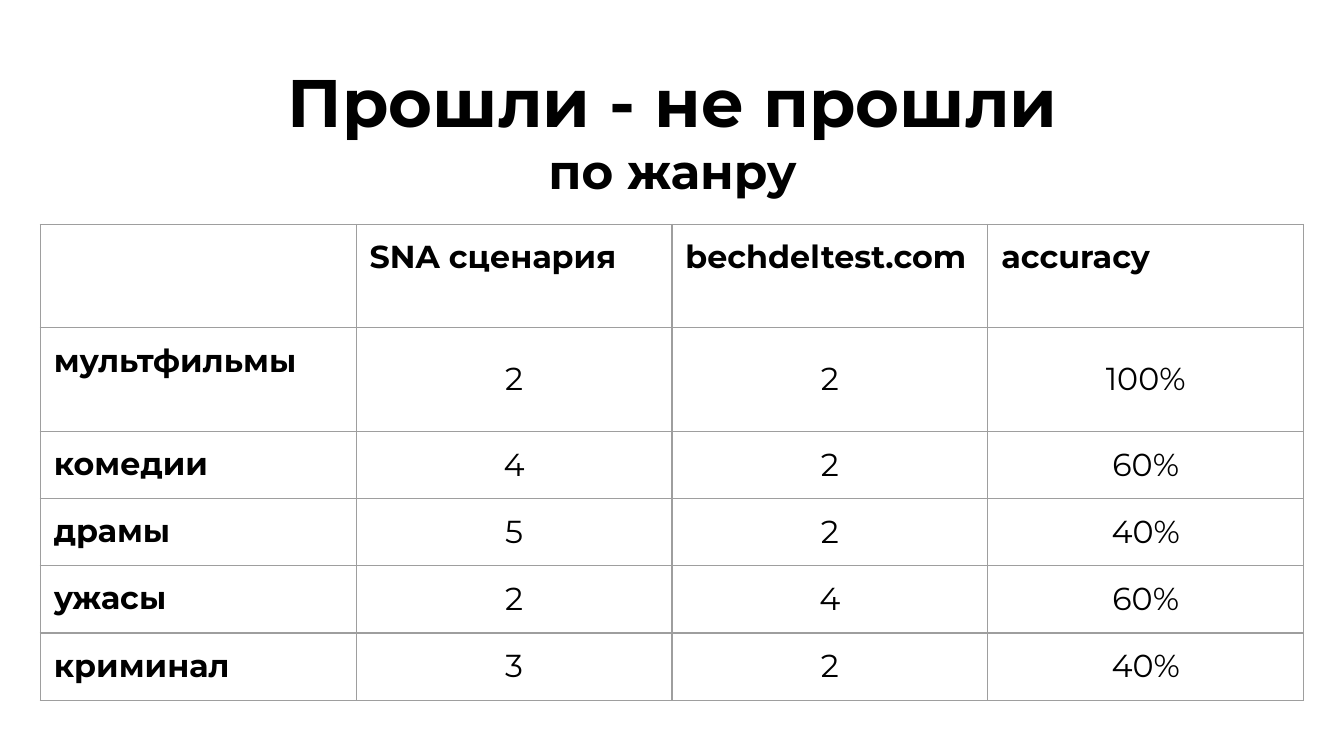
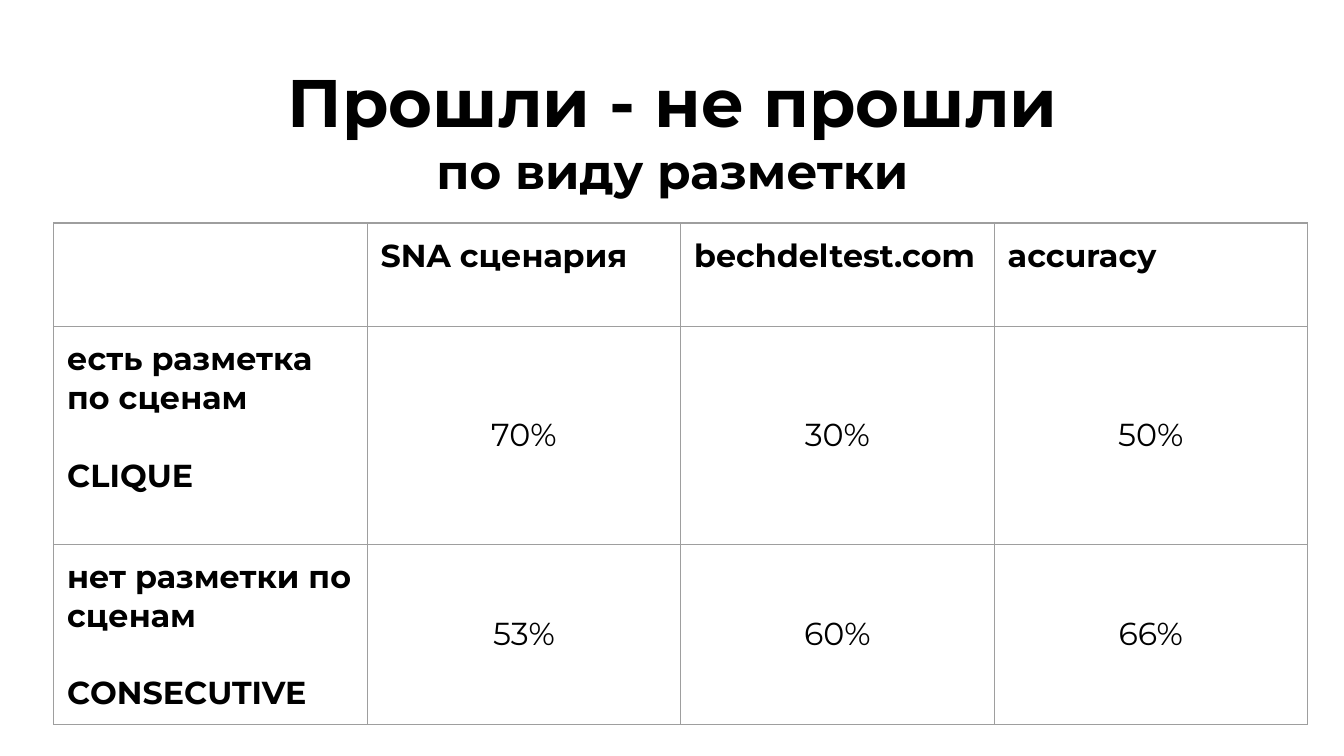
from dataclasses import dataclass

from lxml import etree
from pptx import Presentation
from pptx.dml.color import RGBColor
from pptx.enum.text import MSO_ANCHOR, MSO_AUTO_SIZE, PP_ALIGN
from pptx.oxml.ns import qn
from pptx.util import Inches, Pt

TOP, MIDDLE = MSO_ANCHOR.TOP, MSO_ANCHOR.MIDDLE
LEFT, CENTER = PP_ALIGN.LEFT, PP_ALIGN.CENTER
GROW = MSO_AUTO_SIZE.SHAPE_TO_FIT_TEXT
TITLE_ONLY = 5


@dataclass(frozen=True)
class Theme:
    font: str = "Montserrat"
    ink: str = "000000"
    paper: str = "FFFFFF"
    rule: str = "9E9E9E"
    rule_width: float = 0.75
    heading: int = 36
    subheading: int = 26
    cell: int = 17
    label_gap: int = 21
    inset: float = 0.1


THEME = Theme()
SLIDE_W, SLIDE_H = Inches(10), Inches(5.625)
HEADING = "Прошли - не прошли"
COLUMNS = ["", "SNA сценария", "bechdeltest.com", "accuracy"]

GENRES = [
    ["мультфильмы", "2", "2", "100%"],
    ["комедии", "4", "2", "60%"],
    ["драмы", "5", "2", "40%"],
    ["ужасы", "2", "4", "60%"],
    ["криминал", "3", "2", "40%"],
]
MARKUP = [
    ["есть разметка по сценам\nCLIQUE", "70%", "30%", "50%"],
    ["нет разметки по сценам\nCONSECUTIVE", "53%", "60%", "66%"],
]


def format_paragraph(paragraph, size, bold, align):
    paragraph.alignment = align
    for run in paragraph.runs:
        run.font.name = THEME.font
        run.font.size = Pt(size)
        run.font.bold = bold
        run.font.color.rgb = RGBColor.from_string(THEME.ink)


def set_insets(box):
    box.margin_left = box.margin_right = Inches(THEME.inset)
    box.margin_top = box.margin_bottom = Inches(THEME.inset)


def add_titled_slide(deck, topic):
    slide = deck.slides.add_slide(deck.slide_layouts[TITLE_ONLY])
    slide.background.fill.solid()
    slide.background.fill.fore_color.rgb = RGBColor.from_string(THEME.paper)

    heading = slide.shapes.title
    heading.left, heading.top = Inches(1.02), Inches(0.35)
    heading.width, heading.height = Inches(7.97), Inches(1.25)
    frame = heading.text_frame
    frame.text = f"{HEADING}\n{topic}"
    frame.word_wrap = True
    frame.auto_size = GROW
    frame.vertical_anchor = TOP
    set_insets(frame)
    for paragraph, size in zip(frame.paragraphs, (THEME.heading, THEME.subheading)):
        format_paragraph(paragraph, size, True, CENTER)
    return slide


def draw_borders(cell):
    properties = cell._tc.get_or_add_tcPr()
    for side in ("a:lnL", "a:lnR", "a:lnT", "a:lnB"):
        line = etree.SubElement(properties, qn(side), w=str(Pt(THEME.rule_width)))
        fill = etree.SubElement(line, qn("a:solidFill"))
        etree.SubElement(fill, qn("a:srgbClr"), val=THEME.rule)


def fill_cell(cell, text, is_value):
    draw_borders(cell)
    cell.fill.background()
    set_insets(cell)
    cell.vertical_anchor = MIDDLE if is_value else TOP
    cell.text_frame.text = text
    for index, paragraph in enumerate(cell.text_frame.paragraphs):
        if index:
            paragraph.space_before = Pt(THEME.label_gap)
        format_paragraph(paragraph, THEME.cell, not is_value,
                         CENTER if is_value else LEFT)


def add_results(slide, results, left, top, width, row_heights):
    lines = [COLUMNS, *results]
    table = slide.shapes.add_table(
        len(lines), len(COLUMNS), Inches(left), Inches(top),
        Inches(width), Inches(sum(row_heights))).table
    table.first_row = table.horz_banding = False
    for column in table.columns:
        column.width = Inches(width / len(COLUMNS))
    for row, height in zip(table.rows, row_heights):
        row.height = Inches(height)
    for r, line in enumerate(lines):
        for c, text in enumerate(line):
            fill_cell(table.cell(r, c), text, is_value=r > 0 and c > 0)


def main():
    deck = Presentation()
    deck.slide_width, deck.slide_height = SLIDE_W, SLIDE_H

    # Results by genre
    by_genre = add_titled_slide(deck, "по жанру")
    add_results(by_genre, GENRES, 0.3, 1.67, 9.4, [0.77] * 2 + [0.5] * 4)

    # Results by kind of markup
    by_markup = add_titled_slide(deck, "по виду разметки")
    add_results(by_markup, MARKUP, 0.4, 1.66, 9.33, [0.77, 1.62, 1.33])

    deck.save("out.pptx")


if __name__ == "__main__":
    main()
